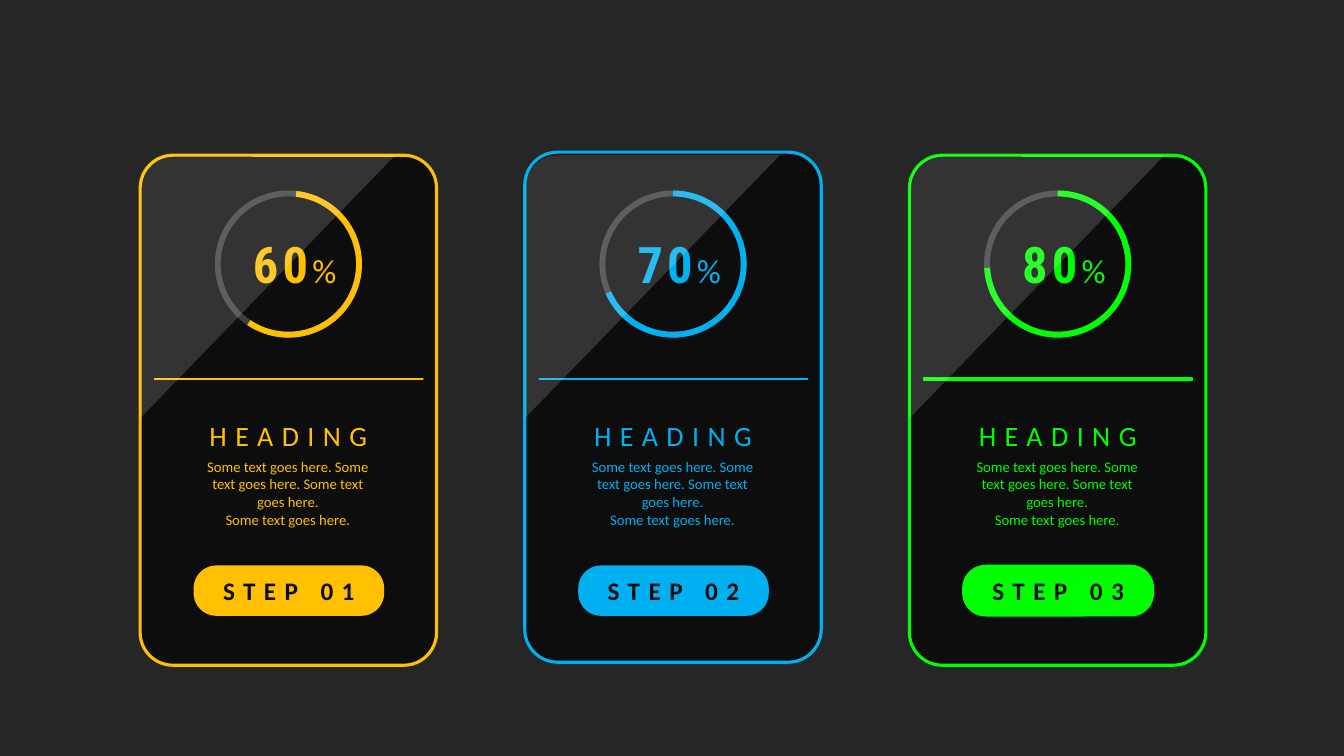
from dataclasses import dataclass
from math import cos, pi, sin

from lxml.etree import SubElement
from pptx import Presentation
from pptx.dml.color import RGBColor
from pptx.enum.shapes import MSO_SHAPE as Geo
from pptx.enum.text import MSO_ANCHOR as Anchor, MSO_AUTO_SIZE as Fit, PP_ALIGN as Align
from pptx.oxml.ns import qn
from pptx.shapes.autoshape import Shape
from pptx.util import Inches, Pt

BACK, DARK, TRACK, GLASS = "262626", "0D0D0D", "404040", "FFFFFF"
LEFT, TOP, PITCH = 1.39, 1.54, 3.815
BODY = "Some text goes here. Some text goes here. Some text goes here.\nSome text goes here."


@dataclass
class Card:
    color: str
    percent: int
    end: float  # end adjustment of the ring's arc
    turn: float = 90
    top: float = TOP
    edge: float = 0  # outline of the rule and the step pill, in points


CARDS = [
    Card("FFC000", 60, 16.65, turn=96.3),
    Card("00B0F0", 70, 39.68, top=1.51),
    Card("00FF00", 80, 52.13, edge=1),
]


def rgb(color: str) -> RGBColor:
    return RGBColor.from_string(color)


def paint(shape: Shape, color: str, line: str = "", width: float = 0) -> None:
    shape.shadow.inherit = False
    shape.fill.solid()
    shape.fill.fore_color.rgb = rgb(color)
    if width:
        shape.line.color.rgb = rgb(line)
        shape.line.width = Pt(width)
    else:
        shape.line.fill.background()


def add(shapes, geo: Geo, x: float, y: float, w: float, h: float,
        adjust: tuple = ()) -> Shape:
    shape = shapes.add_shape(geo, Inches(x), Inches(y), Inches(w), Inches(h))
    for i, value in enumerate(adjust):
        shape.adjustments[i] = value
    return shape


def style(run, size: float, color: str, bold: bool = False, gap: int = 0,
          face: str = "Calibri") -> None:
    """Format a run; gap is the letter spacing in points."""
    font = run.font
    font.size, font.bold, font.name = Pt(size), bold, face
    font.color.rgb = rgb(color)
    if gap:
        run._r.get_or_add_rPr().set("spc", str(gap * 100))


def write(shapes, text: str, x: float, y: float, w: float, h: float,
          size: float, color: str, gap: int = 0) -> None:
    """Add a centred text box."""
    box = shapes.add_textbox(Inches(x), Inches(y), Inches(w), Inches(h))
    frame = box.text_frame
    frame.word_wrap, frame.auto_size = True, Fit.SHAPE_TO_FIT_TEXT
    frame.text = text
    for para in frame.paragraphs:
        para.alignment = Align.CENTER
        style(para.runs[0], size, color, gap=gap)


def draw_ring(shapes, card: Card, x: float) -> None:
    group = shapes.add_group_shape()
    parts = [(Geo.DONUT, (0.04,), TRACK),
             (Geo.BLOCK_ARC, (108, card.end, 0.04), card.color)]
    for geo, adjust, color in parts:
        ring = add(group.shapes, geo, x + 0.74, 1.89, 1.46, 1.46, adjust)
        ring.rotation = card.turn
        paint(ring, color)


def draw_number(shapes, card: Card, x: float) -> None:
    box = shapes.add_textbox(Inches(x + 1.02), Inches(2.26), Inches(1.04), Inches(0.71))
    frame = box.text_frame
    frame.word_wrap, frame.auto_size = True, Fit.SHAPE_TO_FIT_TEXT
    para = frame.paragraphs[0]
    para.text = str(card.percent)
    style(para.runs[0], 36, card.color, True, 3, "Roboto Condensed")
    sign = para.add_run()
    sign.text = "%"
    style(sign, 24, card.color)


def draw_pill(shapes, card: Card, x: float, step: int) -> None:
    pill = add(shapes, Geo.ROUNDED_RECTANGLE, x + 0.53, 5.61, 1.89, 0.5, (0.453,))
    paint(pill, card.color, card.color, card.edge)
    frame = pill.text_frame
    frame.text = f"STEP {step:02}"
    frame.vertical_anchor = Anchor.MIDDLE
    frame.paragraphs[0].alignment = Align.CENTER
    style(frame.paragraphs[0].runs[0], 18, DARK, True, 6)


def draw_gloss(shapes, x: float) -> None:
    """Lay a translucent triangle with a rounded corner over the card."""
    r, steps = 0.33, 12
    turns = [pi + pi / 2 * i / steps for i in range(steps + 1)]
    curve = [(r + r * cos(t), r + r * sin(t)) for t in turns]
    points = [(Inches(x + dx), Inches(TOP + dy))
              for dx, dy in [(2.53, 0), (0, 2.61), *curve]]
    path = shapes.build_freeform(*points[0])
    path.add_line_segments(points[1:], close=True)
    gloss = path.convert_to_shape()
    paint(gloss, GLASS)
    tint = gloss._element.spPr.find(qn("a:solidFill"))[0]
    SubElement(tint, qn("a:alpha")).set("val", "16000")


def draw_card(shapes, card: Card, x: float, step: int) -> None:
    panel = add(shapes, Geo.ROUNDED_RECTANGLE, x, card.top, 2.94, 5.06, (0.111,))
    paint(panel, DARK, card.color, 2.25)
    draw_ring(shapes, card, x)
    draw_number(shapes, card, x)
    rule = add(shapes, Geo.RECTANGLE, x + 0.14, 3.75, 2.67, 0.02)
    paint(rule, card.color, card.color, card.edge)
    write(shapes, "HEADING", x + 0.58, 4.1, 1.78, 0.44, 20, card.color, gap=6)
    write(shapes, BODY, x + 0.52, 4.49, 1.89, 0.63, 10.5, card.color)
    draw_pill(shapes, card, x, step)
    draw_gloss(shapes, x)


def main() -> None:
    deck = Presentation()
    deck.slide_width, deck.slide_height = Inches(13.33), Inches(7.5)
    slide = deck.slides.add_slide(deck.slide_layouts[6])
    slide.background.fill.solid()
    slide.background.fill.fore_color.rgb = rgb(BACK)
    for i, card in enumerate(CARDS):
        draw_card(slide.shapes, card, LEFT + i * PITCH, i + 1)
    deck.save("out.pptx")


if __name__ == "__main__":
    main()
